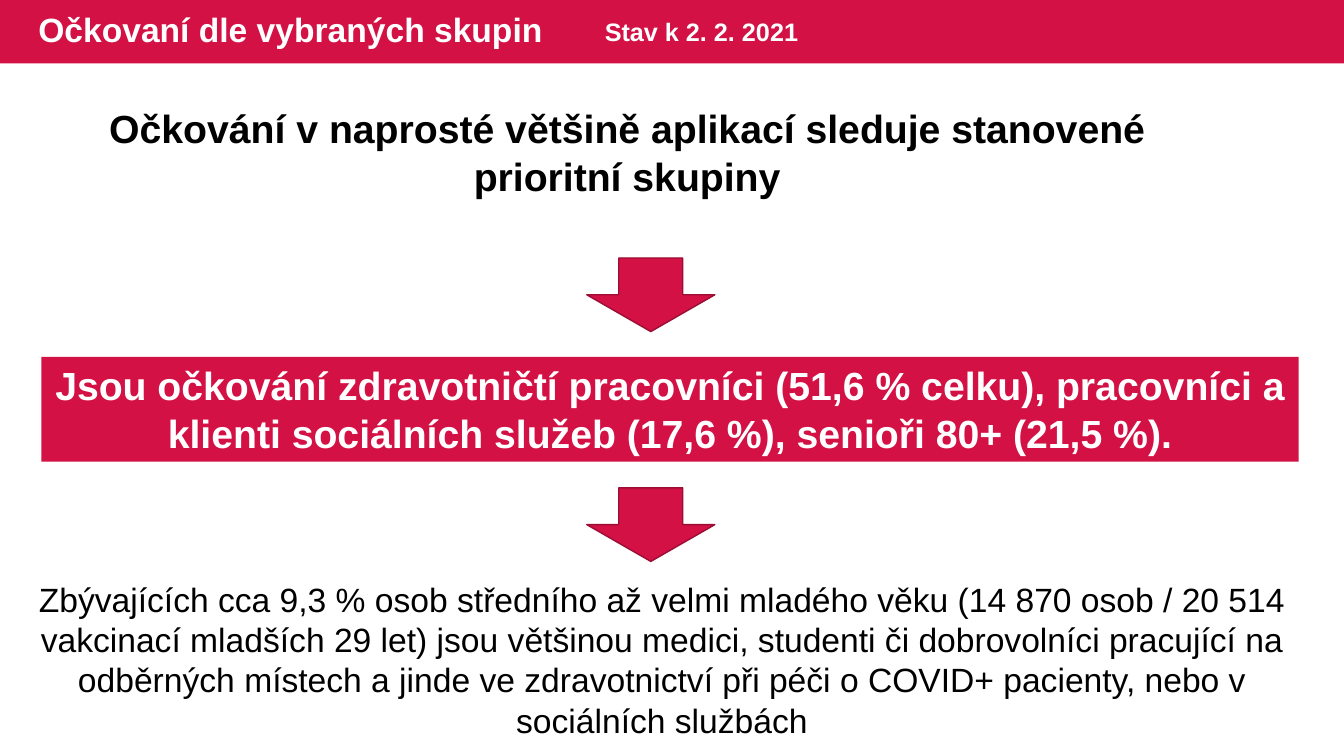
from pptx import Presentation
from pptx.dml.color import RGBColor
from pptx.enum.shapes import MSO_SHAPE as Shape
from pptx.enum.text import MSO_ANCHOR as Anchor, MSO_AUTO_SIZE as Fit, PP_ALIGN as Align
from pptx.util import Inches, Pt

RED = RGBColor(0xD3, 0x11, 0x45)
DARK = RGBColor(0x9C, 0x0D, 0x33)
WHITE = RGBColor(0xFF, 0xFF, 0xFF)
BLACK = RGBColor(0, 0, 0)

deck = Presentation()
deck.slide_width = Inches(13.33)
deck.slide_height = Inches(7.5)
slide = deck.slides.add_slide(deck.slide_layouts[5])
shapes = slide.shapes


def write(shape, text, size, color, bold=True, align=Align.CENTER, anchor=Anchor.TOP):
    frame = shape.text_frame
    frame.word_wrap = True
    frame.auto_size = Fit.NONE
    frame.vertical_anchor = anchor
    para = frame.paragraphs[0]
    para.alignment = align
    run = para.add_run()
    run.text = text
    font = run.font
    font.name = "Arial"
    font.size = Pt(size)
    font.bold = bold
    font.color.rgb = color
    return para


def draw(kind, left, top, width, height):
    shape = shapes.add_shape(kind, Inches(left), Inches(top), Inches(width), Inches(height))
    shape.shadow.inherit = False
    shape.fill.solid()
    shape.fill.fore_color.rgb = RED
    shape.line.fill.background()
    return shape


# Header band, placed behind the title
title = shapes.title
band = draw(Shape.RECTANGLE, 0, 0, 13.33, 0.63)
title._element.addprevious(band._element)

# Title and date
title.left, title.top = Inches(0.28), Inches(0)
title.width, title.height = Inches(8.13), Inches(0.63)
para = write(title, "Očkovaní dle vybraných skupin", 24, WHITE,
             align=Align.LEFT, anchor=Anchor.MIDDLE)
para.line_spacing = 0.9
date = shapes.add_textbox(Inches(5.9), Inches(0.11), Inches(2.96), Inches(0.4))
write(date, "Stav k 2. 2. 2021", 18, WHITE, align=Align.LEFT)

# Lead statement
lead = shapes.add_textbox(Inches(0.38), Inches(0.99), Inches(11.68), Inches(1.04))
write(lead, "Očkování v naprosté většině aplikací sleduje stanovené prioritní skupiny", 28, BLACK)

# Arrows between the statements
for top in (2.56, 4.84):
    arrow = draw(Shape.DOWN_ARROW, 5.82, top, 1.27, 0.73)
    arrow.line.color.rgb = DARK
    arrow.line.width = Pt(1)

# Priority groups
groups = draw(Shape.RECTANGLE, 0.41, 3.54, 12.47, 1.04)
write(groups, "Jsou očkování zdravotničtí pracovníci (51,6 % celku), pracovníci a klienti "
      "sociálních služeb (17,6 %), senioři 80+ (21,5 %).", 28, WHITE)

# Remaining people
rest = shapes.add_textbox(Inches(0.28), Inches(5.69), Inches(12.57), Inches(1.72))
write(rest, "Zbývajících cca 9,3 % osob středního až velmi mladého věku (14 870 osob / 20 514 "
      "vakcinací mladších 29 let) jsou většinou medici, studenti či dobrovolníci pracující "
      "na odběrných místech a jinde ve zdravotnictví při péči o COVID+ pacienty, nebo v "
      "sociálních službách", 24, BLACK, bold=False)

deck.save("out.pptx")
